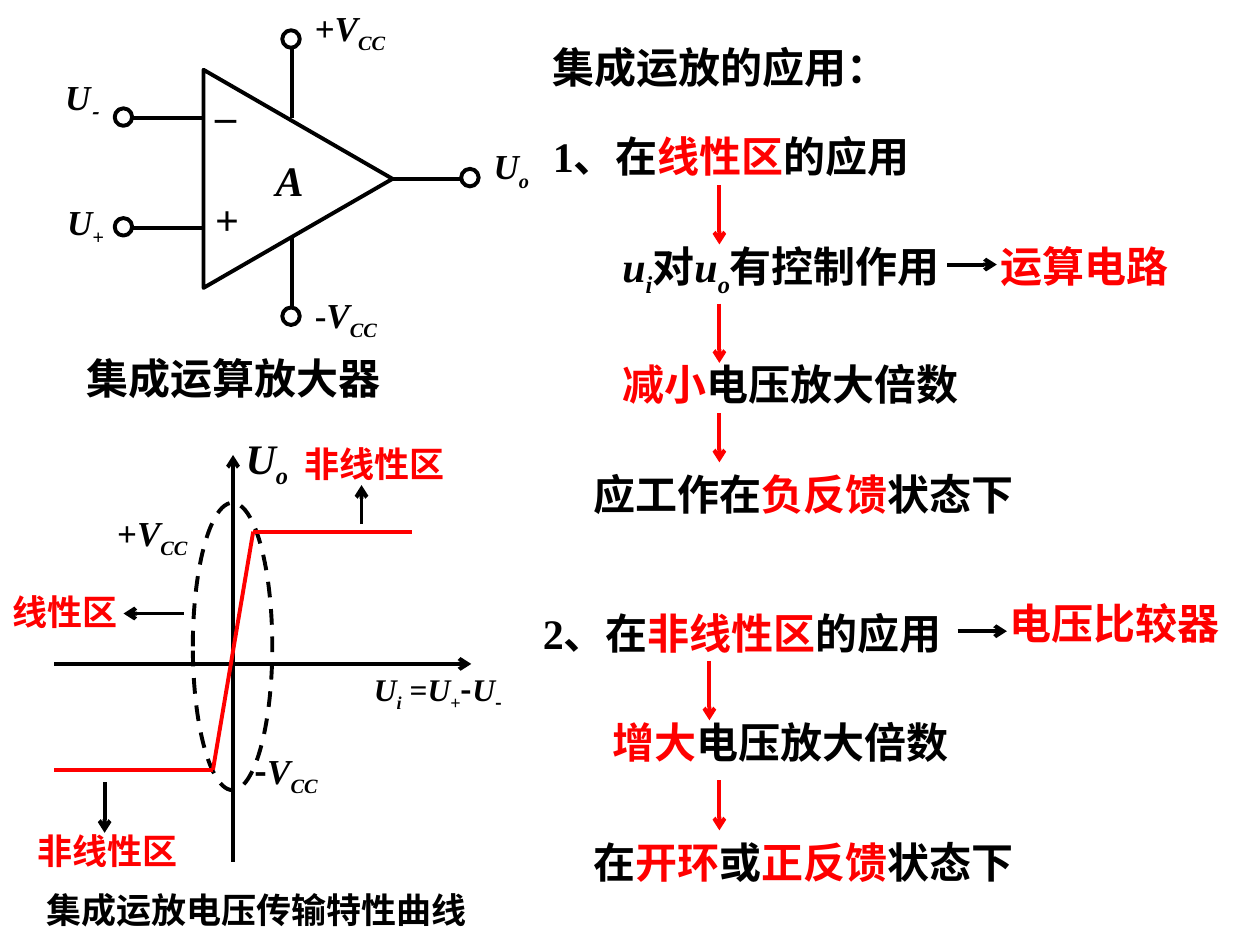
from lxml import etree
from pptx import Presentation
from pptx.dml.color import RGBColor
from pptx.enum.dml import MSO_LINE
from pptx.enum.shapes import MSO_CONNECTOR, MSO_SHAPE
from pptx.enum.text import MSO_AUTO_SIZE
from pptx.oxml.ns import qn
from pptx.util import Pt

STRAIGHT = MSO_CONNECTOR.STRAIGHT
TRIANGLE = MSO_SHAPE.ISOSCELES_TRIANGLE
OVAL = MSO_SHAPE.OVAL
DASH = MSO_LINE.DASH
FIT_SHAPE = MSO_AUTO_SIZE.SHAPE_TO_FIT_TEXT

BLACK, WHITE, RED = "000000", "FFFFFF", "FF0000"
LATIN, CJK = "Times New Roman", "Noto Sans CJK SC"
LINE_WIDTH = 2.25
LARGE, MEDIUM, SMALL = 24, 20, 18
CIRCLE = 10


def rgb(color):
    return RGBColor.from_string(color)


class Board:
    def __init__(self, slide):
        self.slide = slide

    def text(self, left, top, width, runs, size=LARGE):
        box = self.slide.shapes.add_textbox(Pt(left), Pt(top), Pt(width), Pt(size * 1.2 + 7.2))
        frame = box.text_frame
        frame.word_wrap = True
        frame.auto_size = FIT_SHAPE
        paragraph = frame.paragraphs[0]
        font = paragraph.font
        font.size = Pt(size)
        font.bold = True
        font.name = LATIN
        latin = font._element.find(qn("a:latin"))
        latin.addnext(etree.Element(qn("a:ea"), typeface=CJK))
        for words, style in runs:
            run = paragraph.add_run()
            run.text = words
            run.font.color.rgb = rgb(RED if "red" in style else BLACK)
            if "italic" in style:
                run.font.italic = True
            if "cjk" in style:
                run.font.name = CJK
            if "sub" in style:
                run.font._element.set("baseline", "-25000")

    def line(self, x1, y1, x2, y2, color=BLACK, arrow=False):
        connector = self.slide.shapes.add_connector(STRAIGHT, Pt(x1), Pt(y1), Pt(x2), Pt(y2))
        connector.line.color.rgb = rgb(color)
        connector.line.width = Pt(LINE_WIDTH)
        if arrow:
            outline = connector.line._get_or_add_ln()
            etree.SubElement(outline, qn("a:tailEnd"), type="arrow")
        etree.SubElement(connector._element.spPr, qn("a:effectLst"))

    def shape(self, kind, left, top, width, height, fill=WHITE, rotation=0, dash=None):
        shape = self.slide.shapes.add_shape(kind, Pt(left), Pt(top), Pt(width), Pt(height))
        shape.shadow.inherit = False
        shape.rotation = rotation
        if fill:
            shape.fill.solid()
            shape.fill.fore_color.rgb = rgb(fill)
        else:
            shape.fill.background()
        shape.line.color.rgb = rgb(BLACK)
        shape.line.width = Pt(LINE_WIDTH)
        if dash:
            shape.line.dash_style = dash


def supply(sign, style=""):
    return [(sign, style), ("V", "italic"), ("CC", "italic sub")]


def draw_amplifier(board):
    board.shape(TRIANGLE, 108, 48.2, 124.6, 108, rotation=90)
    board.text(150.5, 85, 102, [("A", "italic")])
    for y in (67.7, 130.3):
        board.line(115.9, y, 76.3, y)
    board.line(223.9, 102.2, 263.5, 102.2)
    for y in (67.7, 175.7):
        board.line(167, y, 167, y - 39.6)
    terminals = [(65.5, 61.9), (65.5, 124.6), (263.5, 96.5), (161.3, 17.3), (161.3, 175.7)]
    for left, top in terminals:
        board.shape(OVAL, left, top, CIRCLE, CIRCLE)
    board.text(30.2, 39.6, 97, [("U", "italic"), ("-", "italic cjk sub")], MEDIUM)
    board.text(31.2, 110.9, 96, [("U", "italic"), ("+", "italic sub")], MEDIUM)
    board.text(275, 79.2, 65.5, [("U", "italic"), ("o", "italic sub")], MEDIUM)
    for sign, top in (("_", 39.6), ("+", 107.3)):
        board.text(115.9, top, 45.4, [(sign, "")])
    for sign, top in (("+", 0), ("-", 164.2)):
        board.text(172.8, top, 96.5, supply(sign), MEDIUM)
    board.text(42.5, 198, 204.5, [("集成运算放大器", "")])


def draw_transfer_curve(board):
    board.shape(OVAL, 110.2, 287.3, 45.4, 164.2, fill=None, dash=DASH)
    board.line(31, 379.4, 269.3, 379.4, arrow=True)
    board.line(133.2, 492.5, 133.2, 260, arrow=True)
    points = [(31, 439.9), (121.7, 439.9), (144.7, 303.8), (235.4, 303.8)]
    for start, end in zip(points, points[1:]):
        board.line(*start, *end, color=RED)
    for x1, y1, x2, y2 in [
        (105.1, 350.6, 70.6, 350.6),
        (206.6, 299.5, 206.6, 277.2),
        (59.8, 447.1, 59.8, 475.9),
    ]:
        board.line(x1, y1, x2, y2, arrow=True)
    for left, top, width, words in [
        (0, 334.1, 90.7, "线性区"),
        (167, 249.1, 130.3, "非线性区"),
        (14.4, 470.2, 130.3, "非线性区"),
    ]:
        board.text(left, top, width, [(words, "red")], MEDIUM)
    board.text(133.2, 243.4, 68.4, [("U", "italic"), ("o", "italic sub")])
    input_voltage = [
        ("U", "italic"), ("i", "italic sub"), (" =", ""), ("U", "italic"),
        ("+", "sub"), ("-", "cjk"), ("U", "italic"), ("-", "cjk sub"),
    ]
    board.text(206.6, 379.4, 102.2, input_voltage, SMALL)
    board.text(59.8, 288.7, 85, supply("+"), MEDIUM)
    board.text(138.2, 424.8, 85.7, supply("-", "cjk"), MEDIUM)
    board.text(19.4, 504, 283.7, [("集成运放电压传输特性曲线", "")], MEDIUM)


def draw_applications(board):
    control = [
        ("u", "italic"), ("i", "italic sub"), ("对", ""),
        ("u", "italic"), ("o", "italic sub"), ("有控制作用", ""),
    ]
    open_loop = [("在", ""), ("开环", "red"), ("或", ""), ("正反馈", "red"), ("状态下", "")]
    for left, top, width, runs in [
        (308.9, 20.2, 226.8, [("集成运放的应用：", "")]),
        (308.9, 71.3, 266.4, [("1、在", ""), ("线性区", "red"), ("的应用", "")]),
        (348.5, 133.9, 289.4, control),
        (564.5, 133.9, 113.8, [("运算电路", "red")]),
        (348.5, 201.6, 232.6, [("减小", "red"), ("电压放大倍数", "")]),
        (331.9, 264.2, 380, [("应工作在", ""), ("负反馈", "red"), ("状态下", "")]),
        (303.1, 343.4, 266.4, [("2、在", ""), ("非线性区", "red"), ("的应用", "")]),
        (569.5, 337.7, 147.6, [("电压比较器", "red")]),
        (342.7, 406.1, 232.6, [("增大", "red"), ("电压放大倍数", "")]),
        (331.9, 474.5, 380, open_loop),
    ]:
        board.text(left, top, width, runs)
    for x, top, bottom in [
        (411.1, 105.8, 139.7),
        (411.1, 173.5, 207.4),
        (411.1, 236.2, 264.2),
        (405.4, 377.6, 411.6),
        (411.1, 445.9, 474.5),
    ]:
        board.line(x, top, x, bottom, RED, arrow=True)
    for x, y in ((541.4, 151.2), (547.2, 360.7)):
        board.line(x, y, x + 28.2, y, arrow=True)


def main():
    presentation = Presentation()
    presentation.slide_width, presentation.slide_height = Pt(720), Pt(540)
    board = Board(presentation.slides.add_slide(presentation.slide_layouts[6]))
    draw_amplifier(board)
    draw_transfer_curve(board)
    draw_applications(board)
    presentation.save("out.pptx")


if __name__ == "__main__":
    main()
